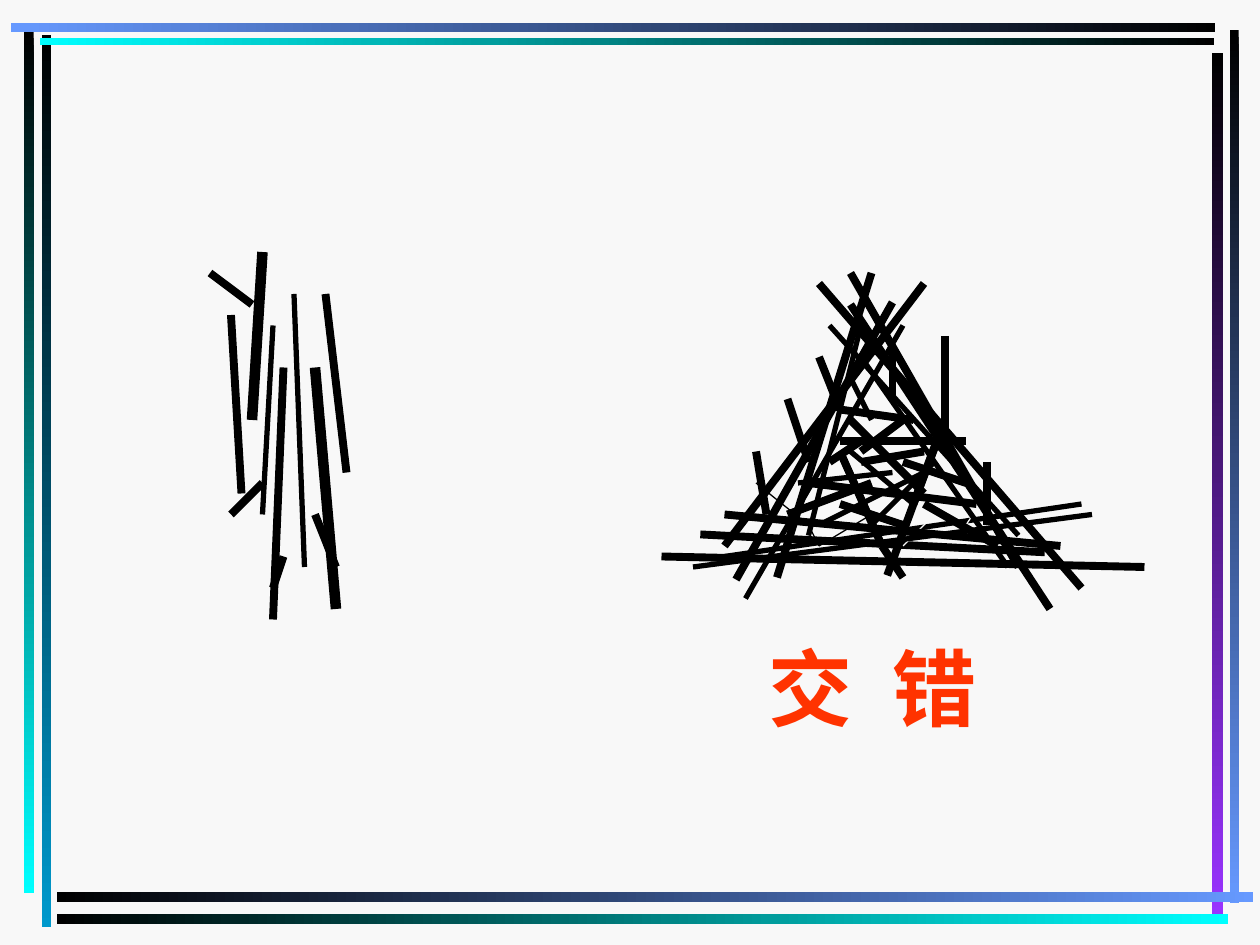
from lxml.etree import SubElement
from pptx import Presentation
from pptx.dml.color import RGBColor
from pptx.enum.shapes import MSO_CONNECTOR as Connector, MSO_SHAPE as Shape
from pptx.enum.text import MSO_AUTO_SIZE as AutoSize
from pptx.oxml.ns import qn
from pptx.util import Cm, Pt

THEME = {
    "paper": "F8F8F8", "ink": "000000", "title": "FF3300",
    "sky": "6699FF", "cyan": "00FFFF", "teal": "0099CC", "violet": "9933FF",
    "font": "Times New Roman", "title_size": 48, "title_gap": 12,
    "hair": 0.75, "thin": 3, "thick": 4.5, "heavy": 6,
}

# Frame bars in cm: left, top, width, height, start colour, end colour
FRAME = [
    (0.84, 0.71, 0.2, 17.98, "ink", "teal"),
    (0.48, 0.64, 0.2, 17.37, "ink", "cyan"),
    (24.79, 0.61, 0.18, 17.6, "ink", "sky"),
    (24.43, 1.07, 0.23, 17.35, "ink", "violet"),
    (1.14, 17.98, 24.13, 0.2, "ink", "sky"),
    (1.14, 18.42, 23.62, 0.2, "ink", "cyan"),
    (0.81, 0.76, 23.67, 0.15, "cyan", "ink"),
    (0.22, 0.47, 24.28, 0.18, "sky", "ink"),
]

# Sticks lie on a grid of twelfths of an inch: x1, y1, x2, y2
GRID = 2.54 / 12
SCATTERED = [
    ("ink", "heavy", [(25, 24, 24, 40), (30, 35, 32, 58)]),
    ("ink", "thick", [(22, 30, 23, 47), (27, 35, 26, 59), (31, 28, 33, 45),
                      (27, 53, 26, 56), (30, 49, 32, 54), (20, 26, 24, 29),
                      (22, 49, 25, 46)]),
    ("ink", "thin", [(26, 31, 25, 49), (28, 28, 29, 54)]),
]
# Paper-coloured cuts hide only the sticks listed before them
INTERLACED = [
    ("ink", "thin", [(82, 31, 77, 51), (79, 31, 97, 51), (69, 53, 103, 48),
                     (81, 43, 87, 48)]),
    ("ink", "thick", [(78, 34, 80, 39), (79, 44, 82, 42), (85, 33, 85, 38),
                      (86, 44, 92, 46)]),
    ("ink", "hair", [(72, 46, 77, 50), (78, 52, 83, 49)]),
    ("paper", "hair", [(90, 53, 94, 47)]),
    ("ink", "thin", [(86, 31, 71, 57), (76, 46, 85, 45)]),
    ("ink", "thick", [(75, 38, 77, 44), (81, 26, 97, 54), (90, 32, 90, 42),
                      (86, 42, 92, 42), (66.7, 50.9, 99.5, 52.6)]),
    ("ink", "hair", [(77, 50, 78, 52)]),
    ("paper", "hair", [(86, 52, 89, 49)]),
    ("ink", "thick", [(69, 49, 101, 52), (84, 52, 86, 55), (85, 28.8, 70.1, 55.2),
                      (82, 43, 86, 40), (80, 48, 86, 50), (87, 48, 90, 40),
                      (82, 44, 88, 43), (88, 27, 69, 52), (72, 43, 73, 49),
                      (81, 29, 100, 58), (63, 53, 109, 54), (83, 26, 74, 55),
                      (81, 40, 88, 47), (88, 48, 95, 52), (75, 49, 83, 46),
                      (94, 44, 94, 50), (80, 43, 84, 52), (80, 39, 87, 40),
                      (77, 46, 93, 48), (80, 42, 88, 42),
                      (84.5, 54.8, 89.5, 41.2), (78, 27, 103, 56)]),
    ("ink", "thin", [(81, 36, 83, 40), (82, 34, 96, 54), (66, 54, 104, 49),
                     (78, 50, 88, 45), (89, 44, 83, 50)]),
]

TITLE = ["交", " ", "错"]
TITLE_BOX = (15.24, 12.7, 8.26, 2.29)


def colour(name):
    return RGBColor.from_string(THEME[name])


def add_bar(slide, left, top, width, height, start, end):
    bar = slide.shapes.add_shape(Shape.RECTANGLE, Cm(left), Cm(top), Cm(width), Cm(height))
    bar.shadow.inherit = False
    bar.line.fill.background()
    bar.fill.gradient()
    bar.fill.gradient_angle = 270 if height > width else 0
    for stop, name, position in zip(bar.fill.gradient_stops, (start, end), (0, 1)):
        stop.color.rgb = colour(name)
        stop.position = position


def add_stick(slide, ends, ink, weight):
    stick = slide.shapes.add_connector(Connector.STRAIGHT, *(Cm(v * GRID) for v in ends))
    stick.line.color.rgb = colour(ink)
    stick.line.width = Pt(THEME[weight])
    SubElement(stick._element.spPr, qn("a:effectLst"))


def add_title(slide):
    frame = slide.shapes.add_textbox(*map(Cm, TITLE_BOX)).text_frame
    frame.word_wrap = True
    frame.auto_size = AutoSize.SHAPE_TO_FIT_TEXT
    for part in TITLE:
        run = frame.paragraphs[0].add_run()
        run.text = part
        run.font.name = THEME["font"]
        run.font.size = Pt(THEME["title_size"])
        run.font.bold = True
        run.font.color.rgb = colour("title")
        if part == " ":  # widen the gap by letter spacing
            run.font._element.set("spc", str(THEME["title_gap"] * 100))


def main():
    deck = Presentation()
    deck.slide_width, deck.slide_height = Cm(25.4), Cm(19.05)
    slide = deck.slides.add_slide(deck.slide_layouts[6])
    slide.background.fill.solid()
    slide.background.fill.fore_color.rgb = colour("paper")

    # Frame
    for bar in FRAME:
        add_bar(slide, *bar)

    # Scattered sticks on the left, interlaced sticks on the right
    for ink, weight, sticks in SCATTERED + INTERLACED:
        for ends in sticks:
            add_stick(slide, ends, ink, weight)

    # Title
    add_title(slide)
    deck.save("out.pptx")


if __name__ == "__main__":
    main()
